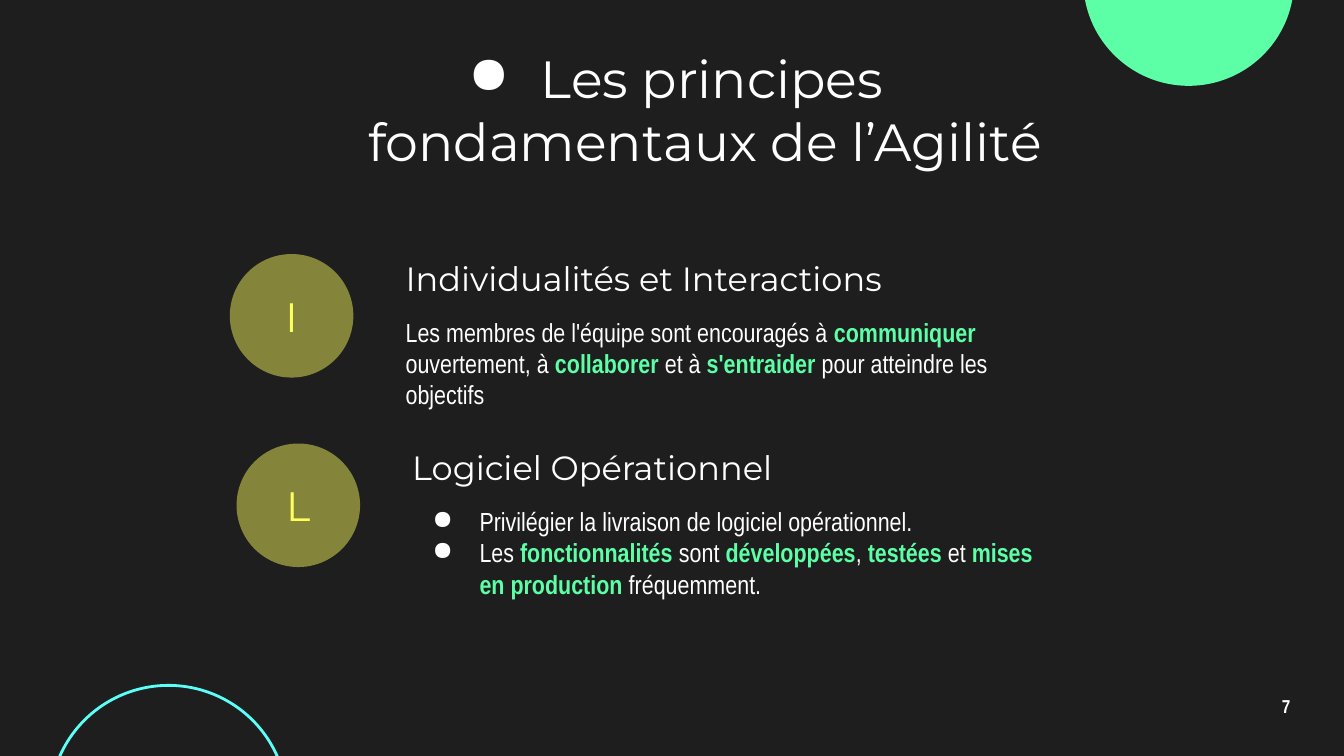
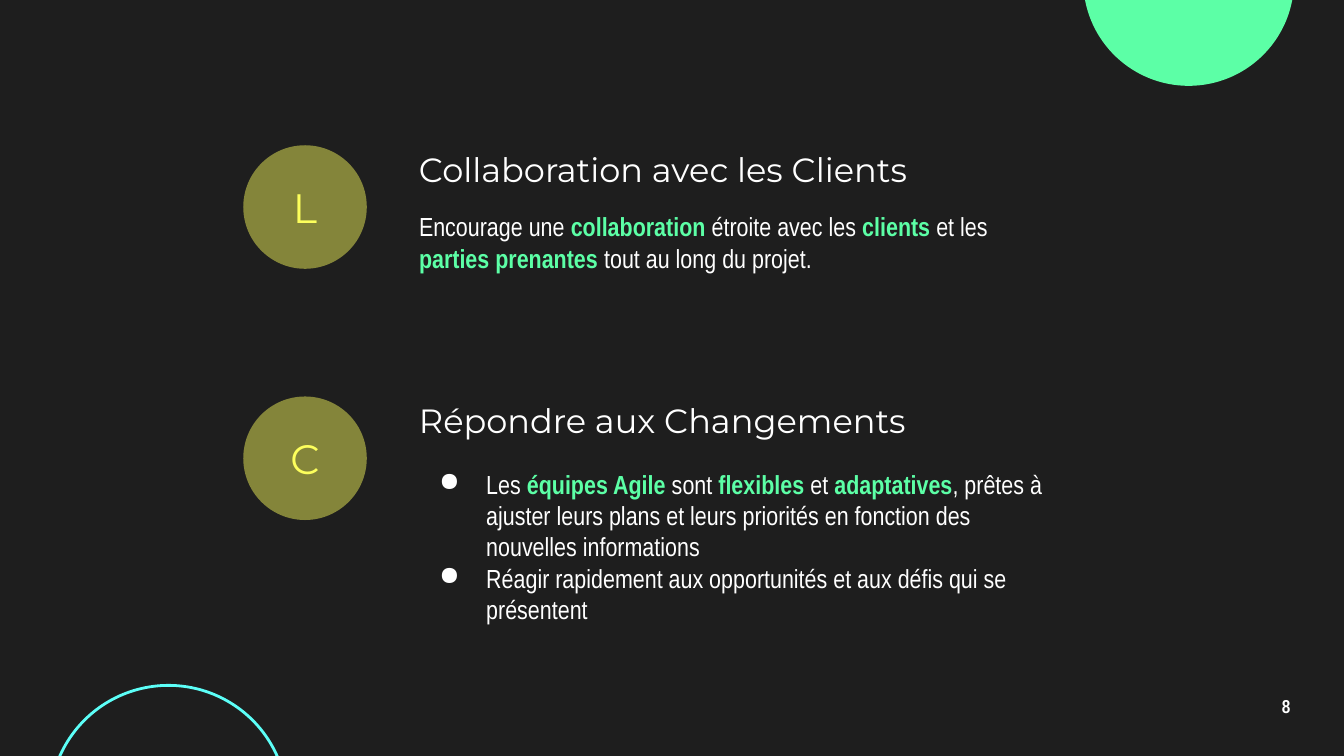
from pptx import Presentation
from pptx.dml.color import RGBColor
from pptx.enum.shapes import MSO_SHAPE
from pptx.enum.text import MSO_ANCHOR, MSO_AUTO_SIZE, PP_ALIGN
from pptx.oxml.ns import qn
from pptx.util import Pt
from lxml.etree import SubElement

# Palette and fonts
DARK = RGBColor(0x1E, 0x1E, 0x1E)
WHITE = RGBColor(0xFF, 0xFF, 0xFF)
GREEN = RGBColor(0x5C, 0xFF, 0xA6)
CYAN = RGBColor(0x5C, 0xFF, 0xF8)
YELLOW = RGBColor(0xFD, 0xFF, 0x5C)
DISPLAY_FONT = "Montserrat"
BODY_FONT = "Arial Narrow"

# Layout of one principle
BADGE_SIZE = 66.2
TEXT_OFFSET = 87.1
INSET = 7.2


class Deck:
    """Holds the shared style and the current slide."""

    def __init__(self):
        self.presentation = Presentation()
        self.presentation.slide_width = Pt(720)
        self.presentation.slide_height = Pt(405)
        background = self.presentation.slide_master.background.fill
        background.solid()
        background.fore_color.rgb = DARK
        self.slide = None

    def new_slide(self, number, title=None):
        layout = self.presentation.slide_layouts[5 if title else 6]
        self.slide = self.presentation.slides.add_slide(layout)
        self.circle(580.3, -67, 113, fill=GREEN)
        self.circle(26.6, 367.2, 127.4, line=CYAN)
        page_number = self.text(667.4, 367.2, 43.2, 24.5, [f"*{number}*"], 10,
                                align=PP_ALIGN.CENTER, accent=WHITE)
        page_number.paragraphs[0].line_spacing = 0.8
        if title:
            self.title(title)

    def title(self, wording):
        heading = self.slide.shapes.title
        heading.left, heading.top = Pt(139.7), Pt(5)
        heading.width, heading.height = Pt(440), Pt(107.3)
        self.fill_frame(heading.text_frame, [wording], 28, DISPLAY_FONT,
                        align=PP_ALIGN.CENTER, hanging=31.7)

    def circle(self, left, top, size, fill=None, line=None, opacity=None):
        disc = self.slide.shapes.add_shape(
            MSO_SHAPE.OVAL, Pt(left), Pt(top), Pt(size), Pt(size))
        disc.shadow.inherit = False
        if fill is None:
            disc.fill.background()
        else:
            disc.fill.solid()
            disc.fill.fore_color.rgb = fill
        if line is None:
            disc.line.fill.background()
        else:
            disc.line.color.rgb = line
            disc.line.width = Pt(1.5)
        if opacity is not None:
            colour = disc._element.spPr.find(qn("a:solidFill"))[0]
            SubElement(colour, qn("a:alpha"), val=str(opacity * 1000))
        return disc

    def text(self, left, top, width, height, paragraphs, size,
             font=BODY_FONT, **style):
        box = self.slide.shapes.add_textbox(
            Pt(left), Pt(top), Pt(width), Pt(height))
        self.fill_frame(box.text_frame, paragraphs, size, font, **style)
        return box.text_frame

    def fill_frame(self, frame, paragraphs, size, font, colour=WHITE,
                   accent=GREEN, align=PP_ALIGN.LEFT, hanging=None,
                   inset=INSET):
        """Write paragraphs; wording between asterisks is bold and accented."""
        frame.word_wrap = True
        frame.auto_size = MSO_AUTO_SIZE.NONE
        frame.vertical_anchor = MSO_ANCHOR.MIDDLE
        frame.margin_left = frame.margin_right = Pt(inset)
        frame.margin_top = frame.margin_bottom = Pt(inset)
        for index, wording in enumerate(paragraphs):
            paragraph = frame.paragraphs[0] if index == 0 else frame.add_paragraph()
            paragraph.alignment = align
            if hanging:
                self.bullet(paragraph, hanging)
            for position, part in enumerate(wording.split("*")):
                if not part:
                    continue
                strong = position % 2 == 1
                run = paragraph.add_run()
                run.text = part
                run.font.name = font
                run.font.size = Pt(size)
                run.font.bold = strong
                run.font.color.rgb = accent if strong else colour

    def bullet(self, paragraph, hanging):
        properties = paragraph._p.get_or_add_pPr()
        properties.set("marL", str(Pt(36)))
        properties.set("indent", str(-Pt(hanging)))
        colour = SubElement(properties, qn("a:buClr"))
        SubElement(colour, qn("a:srgbClr"), val=str(WHITE))
        SubElement(properties, qn("a:buChar"), char="●")

    def principle(self, left, top, letter, heading, paragraphs,
                  body_offset=20.9, body_height=74.9, bulleted=False):
        badge = self.circle(left, top, BADGE_SIZE, fill=YELLOW, opacity=46)
        self.fill_frame(badge.text_frame, [letter], 22, DISPLAY_FONT,
                        colour=YELLOW, align=PP_ALIGN.CENTER, inset=0)
        text_left = left + TEXT_OFFSET
        self.text(text_left, top, 316.8, 25.2, [heading], 18, DISPLAY_FONT)
        self.text(text_left, top + body_offset, 356.4, body_height, paragraphs,
                  14, hanging=25.2 if bulleted else None)


def main():
    deck = Deck()

    # Slide 7: individuals and working software
    deck.new_slide(7, " Les principes fondamentaux de l’Agilité")
    deck.principle(
        123.1, 136.1, "I", "Individualités et Interactions",
        ["Les membres de l'équipe sont encouragés à *communiquer *ouvertement, "
         "à *collaborer *et à *s'entraider *pour atteindre les objectifs"])
    deck.principle(
        126.7, 237.6, "L", "Logiciel Opérationnel",
        ["Privilégier la livraison de logiciel opérationnel.",
         "Les *fonctionnalités *sont *développées*, *testées *et "
         "*mises en production* fréquemment."],
        bulleted=True)

    # Slide 8: customers and change
    deck.new_slide(8)
    deck.principle(
        130.3, 77.8, "L", "Collaboration avec les Clients",
        ["Encourage une *collaboration *étroite avec les *clients *et les "
         "*parties prenantes* tout au long du projet."],
        body_offset=14.4)
    deck.principle(
        130.3, 212.4, "C", "Répondre aux Changements",
        ["Les *équipes Agile* sont *flexibles* et *adaptatives*, prêtes à "
         "ajuster leurs plans et leurs priorités en fonction des nouvelles "
         "informations",
         "Réagir rapidement aux opportunités et aux défis qui se présentent"],
        body_height=118.8, bulleted=True)

    deck.presentation.save("out.pptx")


if __name__ == "__main__":
    main()
